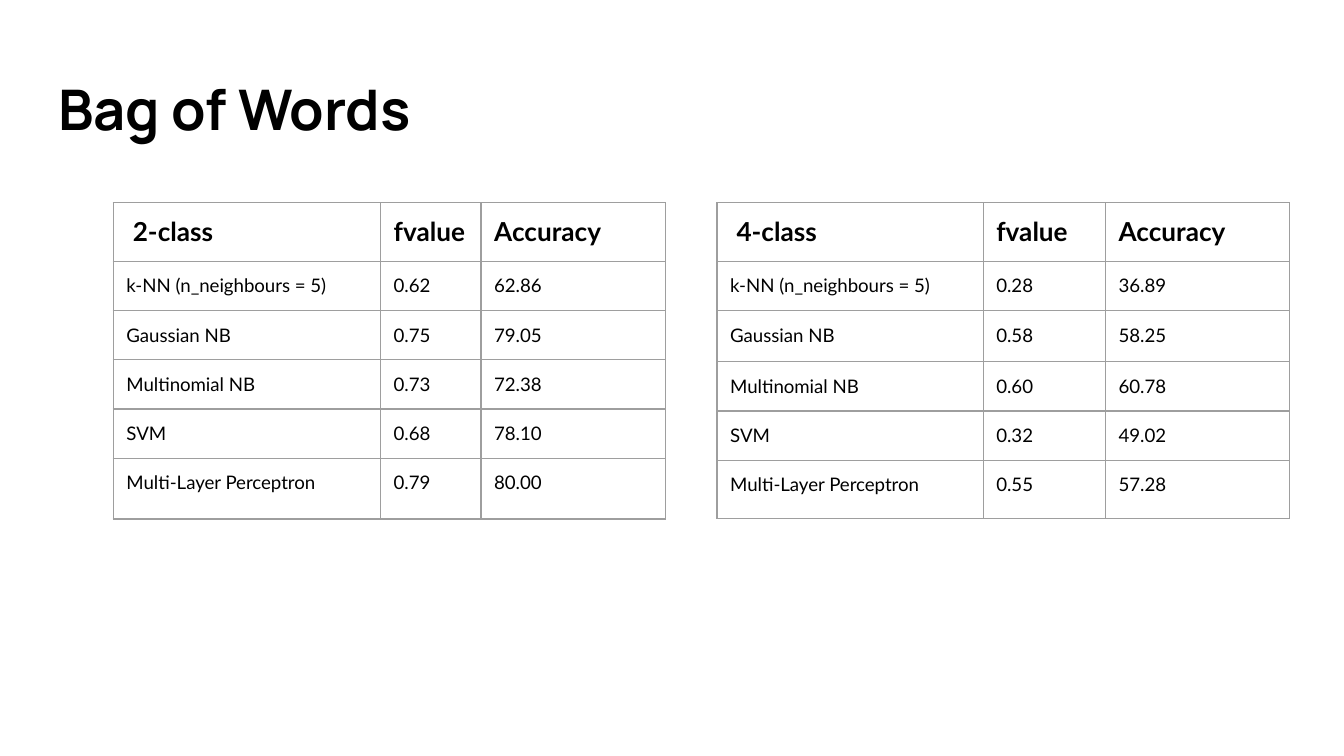
from lxml.etree import SubElement
from pptx import Presentation
from pptx.dml.color import RGBColor
from pptx.enum.text import MSO_ANCHOR
from pptx.oxml.ns import qn
from pptx.util import Cm, Pt

INK, GRID = "000000", "9E9E9E"
INSET = Cm(0.25)
MODELS = ["k-NN (n_neighbours = 5)", "Gaussian NB", "Multinomial NB", "SVM",
          "Multi-Layer Perceptron"]


def color(hex_value):
    return RGBColor.from_string(hex_value)


def set_insets(holder):
    holder.margin_left = holder.margin_right = INSET
    holder.margin_top = holder.margin_bottom = INSET


def add_run(paragraph, text, font, size, bold):
    run = paragraph.add_run()
    run.text = text
    run.font.name = font
    run.font.size = Pt(size)
    run.font.bold = bold
    run.font.color.rgb = color(INK)


def add_borders(cell):
    properties = cell._tc.get_or_add_tcPr()
    for position, side in enumerate(("a:lnL", "a:lnR", "a:lnT", "a:lnB")):
        border = properties.makeelement(qn(side), {"w": str(Pt(0.75))})
        fill = SubElement(border, qn("a:solidFill"))
        SubElement(fill, qn("a:srgbClr"), val=GRID)
        properties.insert(position, border)


def add_title(slide, text, left, top, width, height):
    title = slide.shapes.add_textbox(left, top, width, height).text_frame
    title.word_wrap = True
    title.vertical_anchor = MSO_ANCHOR.MIDDLE
    set_insets(title)
    add_run(title.paragraphs[0], text, "Manrope", 30, True)


def add_results(slide, heading, scores, left, top, widths, heights):
    """Table of model scores; widths and heights are in centimetres."""
    rows = [(heading, "fvalue", "Accuracy")]
    rows += [(model, *pair) for model, pair in zip(MODELS, scores)]
    results = slide.shapes.add_table(len(rows), len(widths), left, top,
                                     Cm(sum(widths)), Cm(sum(heights))).table
    results.first_row = results.horz_banding = False

    for column, width in zip(results.columns, widths):
        column.width = Cm(width)
    for row, height, values in zip(results.rows, heights, rows):
        row.height = Cm(height)
        is_header = values is rows[0]
        for cell, value in zip(row.cells, values):
            set_insets(cell)
            cell.fill.background()
            add_borders(cell)
            add_run(cell.text_frame.paragraphs[0], value, "Lato",
                    14 if is_header else 10, is_header)


def main():
    deck = Presentation()
    deck.slide_width, deck.slide_height = Cm(25.4), Cm(14.29)
    slide = deck.slides.add_slide(deck.slide_layouts[6])

    # Score tables, side by side
    table_top = Cm(3.83)
    two_class = [("0.62", "62.86"), ("0.75", "79.05"), ("0.73", "72.38"),
                 ("0.68", "78.10"), ("0.79", "80.00")]
    add_results(slide, " 2-class", two_class, Cm(2.14), table_top,
                (5.05, 1.9, 3.48), (1.11, 0.93, 0.93, 0.93, 0.93, 1.15))
    four_class = [("0.28", "36.89"), ("0.58", "58.25"), ("0.60", "60.78"),
                  ("0.32", "49.02"), ("0.55", "57.28")]
    add_results(slide, " 4-class", four_class, Cm(13.55), table_top,
                (5.03, 2.31, 3.48), (1.11, 0.93, 0.97, 0.93, 0.93, 1.1))

    # Slide title
    add_title(slide, "Bag of Words", Cm(0.85), Cm(1.15), Cm(23.67), Cm(1.78))

    deck.save("out.pptx")


if __name__ == "__main__":
    main()
